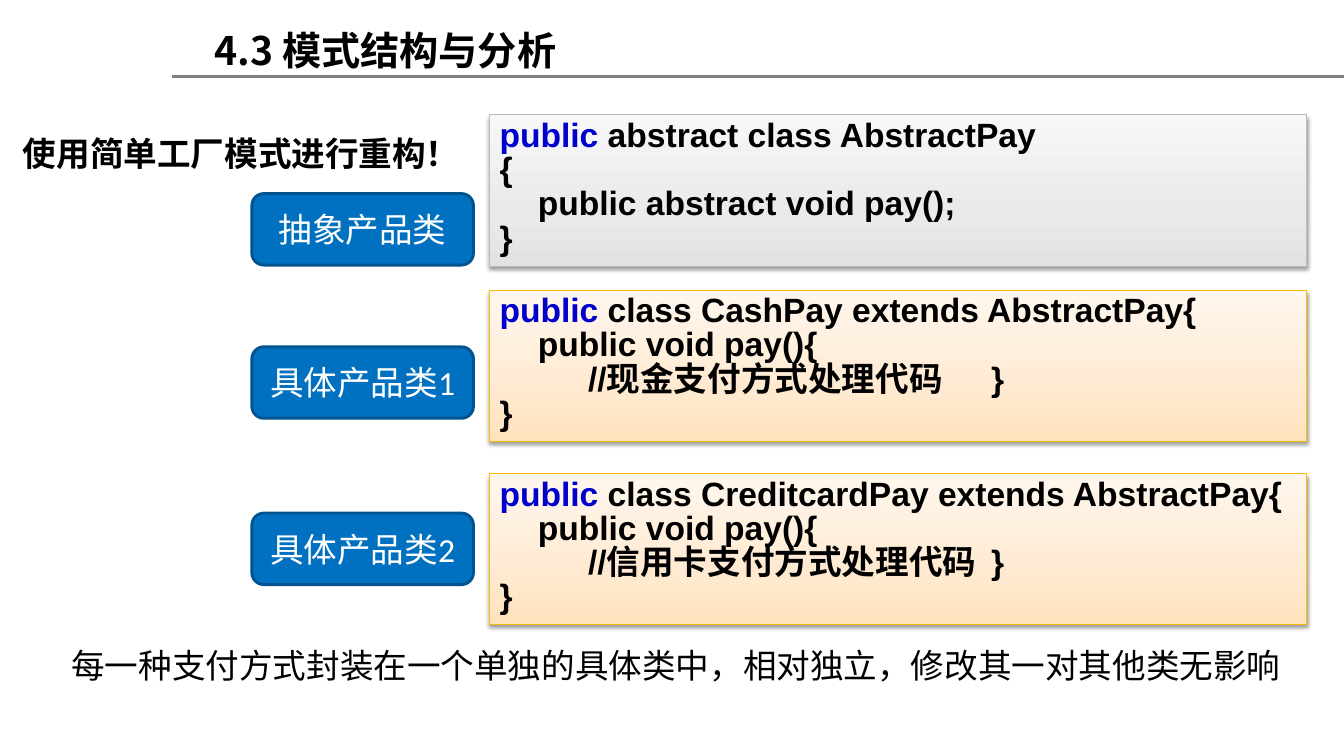
import copy

import pptx
import pptx.dml.color
import pptx.enum.shapes
import pptx.enum.text
import pptx.oxml
import pptx.oxml.ns
import pptx.util
from pptx.dml.color import RGBColor
from pptx.enum.shapes import MSO_CONNECTOR, MSO_SHAPE
from pptx.enum.text import MSO_ANCHOR, MSO_AUTO_SIZE, PP_ALIGN
from pptx.oxml.ns import nsdecls, qn
from pptx.util import Inches, Pt

# Content
TITLE = "4.3 模式结构与分析"
HEADING = "使用简单工厂模式进行重构！"
CONCLUSION = "每一种支付方式封装在一个单独的具体类中，相对独立，修改其一对其他类无影响"
KEYWORD = "public"

BLACK = RGBColor(0x00, 0x00, 0x00)
WHITE = RGBColor(0xFF, 0xFF, 0xFF)
KEYWORD_BLUE = RGBColor(0x00, 0x00, 0xCC)
LABEL_BLUE = RGBColor(0x00, 0x70, 0xC0)
LABEL_EDGE = RGBColor(0x00, 0x53, 0x8E)
RULE_GRAY = RGBColor(0x80, 0x80, 0x80)
GRAY_EDGE = RGBColor(0xBB, 0xBB, 0xBB)
ORANGE_EDGE = RGBColor(0xF9, 0xBC, 0x00)
GRAY_STOPS = [(0, RGBColor(0xE2, 0xE2, 0xE2)), (0.35, RGBColor(0xEA, 0xEA, 0xEA)),
              (1, RGBColor(0xF7, 0xF7, 0xF7))]
ORANGE_STOPS = [(0, RGBColor(0xFF, 0xE2, 0xBD)), (0.35, RGBColor(0xFF, 0xEA, 0xD1)),
                (1, RGBColor(0xFF, 0xF7, 0xEE))]

# Each class: label, label top, code top, gradient stops, edge colour, code after the keyword
CLASSES = [
    ("抽象产品类", 1.92, 1.14, GRAY_STOPS, GRAY_EDGE,
     [" abstract class AbstractPay", "{", "\tpublic abstract void pay();\t", "}"]),
    ("具体产品类1", 3.44, 2.88, ORANGE_STOPS, ORANGE_EDGE,
     [" class CashPay extends AbstractPay{", "\tpublic void pay(){",
      "\t\t//现金支付方式处理代码\t}", "}"]),
    ("具体产品类2", 5.09, 4.7, ORANGE_STOPS, ORANGE_EDGE,
     [" class CreditcardPay extends AbstractPay{", "\tpublic void pay(){",
      "\t\t//信用卡支付方式处理代码\t}", "}"]),
]

CJK_FONT = "Noto Sans CJK SC"
CODE_LEFT, CODE_WIDTH, CODE_HEIGHT = 4.86, 8.11, 1.5
LABEL_LEFT, LABEL_WIDTH, LABEL_HEIGHT = 2.5, 2.2, 0.71
CODE_INDENT = 0.38


def format_run(run, color, font=CJK_FONT, size=24, bold=False):
    run.font.size = Pt(size)
    run.font.name = font
    run.font.bold = bold
    run.font.color.rgb = color
    east_asian = pptx.oxml.parse_xml(f'<a:ea {nsdecls("a")} typeface="{CJK_FONT}"/>')
    run.font._element.find(qn("a:latin")).addnext(east_asian)


def add_text(slide, text, left, top, width, height, bold=False, spacing=None):
    box = slide.shapes.add_textbox(Inches(left), Inches(top), Inches(width), Inches(height))
    frame = box.text_frame
    frame.word_wrap = True
    frame.text = text
    frame.paragraphs[0].line_spacing = spacing
    format_run(frame.paragraphs[0].runs[0], BLACK, bold=bold)


def add_code(slide, top, stops, edge, lines):
    shape = slide.shapes.add_shape(MSO_SHAPE.RECTANGLE, Inches(CODE_LEFT), Inches(top),
                                   Inches(CODE_WIDTH), Inches(CODE_HEIGHT))
    # Three-stop gradient, darkest at the bottom
    shape.fill.gradient()
    shape.fill.gradient_angle = 90
    stop_list = shape._element.spPr.find(".//" + qn("a:gsLst"))
    stop_list.append(copy.deepcopy(stop_list[0]))
    for stop, (position, color) in zip(shape.fill.gradient_stops, stops):
        stop.position = position
        stop.color.rgb = color
    shape.line.color.rgb = edge
    shape.line.width = Pt(0.75)
    # Soft shadow below
    shape.shadow.inherit = False
    shape._element.spPr.find(qn("a:effectLst")).append(pptx.oxml.parse_xml(
        f'<a:outerShdw {nsdecls("a")} blurRad="{Pt(3.1)}" dist="{Pt(1.6)}" dir="5400000" '
        'rotWithShape="0"><a:srgbClr val="000000"><a:alpha val="38000"/></a:srgbClr>'
        '</a:outerShdw>'))
    # Code lines
    frame = shape.text_frame
    frame.word_wrap = True
    frame.vertical_anchor = MSO_ANCHOR.TOP
    for number, line in enumerate(lines):
        paragraph = frame.add_paragraph() if number else frame.paragraphs[0]
        paragraph.alignment = PP_ALIGN.LEFT
        paragraph.line_spacing = 0.85
        properties = paragraph._p.get_or_add_pPr()
        properties.set("marL", str(Inches(CODE_INDENT)))
        properties.set("indent", str(-Inches(CODE_INDENT)))
        parts = [(line, BLACK)] if number else [(KEYWORD, KEYWORD_BLUE), (line, BLACK)]
        for text, color in parts:
            run = paragraph.add_run()
            run.text = text
            format_run(run, color, "Arial", bold=True)


def add_label(slide, text, top):
    shape = slide.shapes.add_shape(MSO_SHAPE.ROUNDED_RECTANGLE, Inches(LABEL_LEFT), Inches(top),
                                   Inches(LABEL_WIDTH), Inches(LABEL_HEIGHT))
    shape.shadow.inherit = False
    shape.fill.solid()
    shape.fill.fore_color.rgb = LABEL_BLUE
    shape.line.color.rgb = LABEL_EDGE
    shape.line.width = Pt(2)
    frame = shape.text_frame
    frame.text = text
    frame.vertical_anchor = MSO_ANCHOR.MIDDLE
    frame.paragraphs[0].alignment = PP_ALIGN.CENTER
    format_run(frame.paragraphs[0].runs[0], WHITE, "Calibri")


def main():
    presentation = pptx.Presentation()
    presentation.slide_width = Inches(13.34)
    presentation.slide_height = Inches(7.5)
    slide = presentation.slides.add_slide(presentation.slide_layouts[5])

    # Title and the rule under it
    rule = slide.shapes.add_connector(MSO_CONNECTOR.STRAIGHT, Inches(1.71), Inches(0.76),
                                      presentation.slide_width, Inches(0.76))
    rule.line.color.rgb = RULE_GRAY
    rule.line.width = Pt(2)
    rule._element.spPr.append(pptx.oxml.parse_xml(f'<a:effectLst {nsdecls("a")}/>'))

    title = slide.shapes.title
    title.left, title.top = Inches(2.03), Inches(0.21)
    title.width, title.height = Inches(7.56), Inches(0.57)
    frame = title.text_frame
    frame.text = TITLE
    frame.auto_size = MSO_AUTO_SIZE.NONE
    frame.vertical_anchor = MSO_ANCHOR.TOP
    frame.paragraphs[0].alignment = PP_ALIGN.LEFT
    format_run(frame.paragraphs[0].runs[0], BLACK, size=28, bold=True)

    # Heading, labelled classes and conclusion
    add_text(slide, HEADING, 0.13, 1.15, 4.57, 0.63, bold=True, spacing=1.3)
    for label, label_top, code_top, stops, edge, lines in CLASSES:
        add_code(slide, code_top, stops, edge, lines)
        add_label(slide, label, label_top)
    add_text(slide, CONCLUSION, 0.61, 6.35, 12.29, 0.5)

    presentation.save("out.pptx")


if __name__ == "__main__":
    main()
